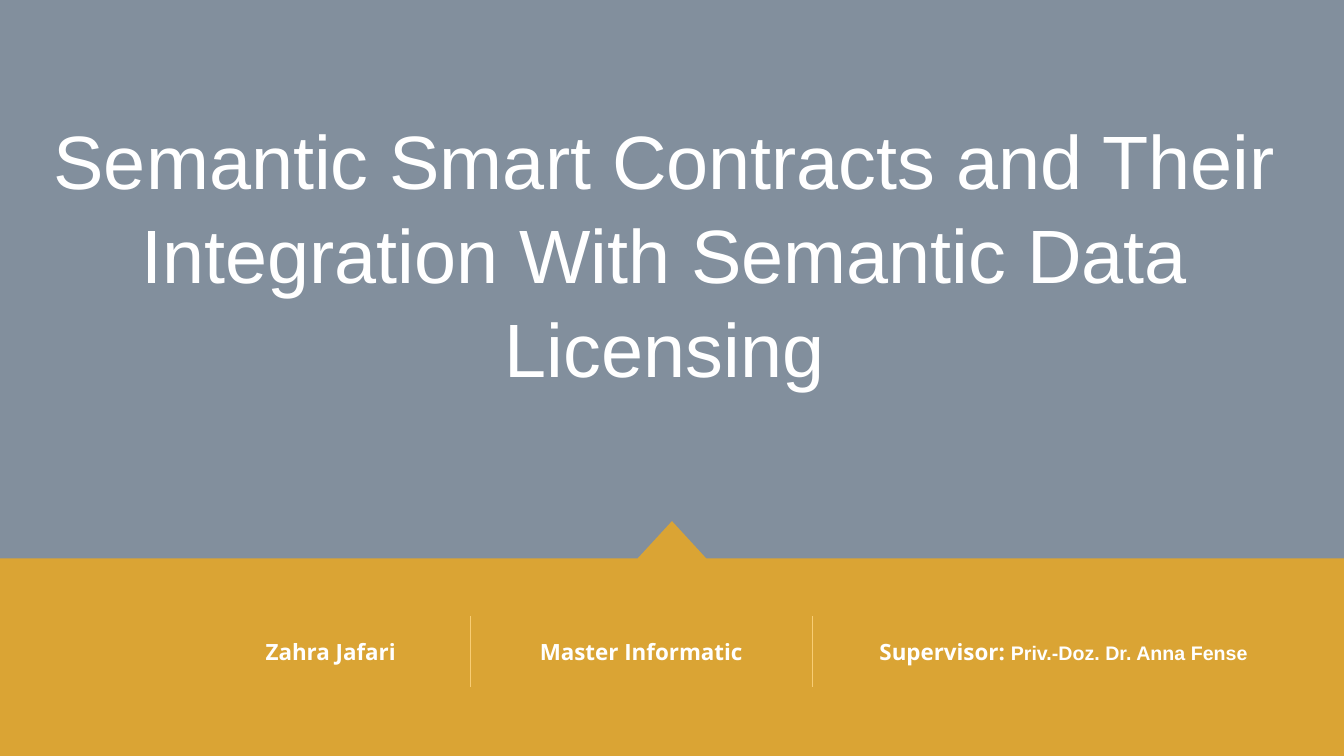
from lxml import etree
from pptx import Presentation
from pptx import util as u
from pptx.dml.color import RGBColor
from pptx.enum import shapes, text
from pptx.oxml.ns import qn

COLORS = {"slate": "57687B", "gold": "F4AB17", "divider": "F8CD74", "white": "FFFFFF"}
WIDTH, HEIGHT = u.Inches(13.33), u.Inches(7.5)
BAND_TOP = u.Inches(5.54)
ENTRY_HEIGHT = u.Inches(0.37)

# Left edge and width of each entry in inches, with its runs: wording, font, size
ENTRIES = [
    (2.2, 2.16, [("Zahra Jafari", "Open Sans", 16)]),
    (4.98, 2.76, [("Master Informatic", "Open Sans", 16)]),
    (8.37, 4.36, [("Supervisor: ", "Open Sans", 16),
                  ("Priv.-Doz. Dr. Anna Fense", "Arial", 14)]),
]


def rgb(name):
    return RGBColor.from_string(COLORS[name])


def paint(sp, color, opacity):
    """Fill a shape with a see-through colour, without line or shadow."""
    sp.shadow.inherit = False
    sp.line.fill.background()
    sp.fill.solid()
    sp.fill.fore_color.rgb = rgb(color)
    srgb = sp._element.spPr.find(".//" + qn("a:srgbClr"))
    etree.SubElement(srgb, qn("a:alpha")).set("val", str(opacity * 1000))


def format_run(r, font, size, bold=False):
    r.font.name = font
    r.font.size = u.Pt(size)
    r.font.bold = bold
    r.font.color.rgb = rgb("white")


def add_backdrop(s, width, height):
    panel = s.shapes.add_shape(shapes.MSO_SHAPE.RECTANGLE, 0, 0, width, height)
    paint(panel, "slate", 74)


def add_title(s, left, top, width, height):
    title = s.shapes.title
    title.left, title.top, title.width, title.height = left, top, width, height
    s.shapes._spTree.append(title._element)  # bring in front of the backdrop
    tf = title.text_frame
    tf.text = "Semantic Smart Contracts and Their\vIntegration With Semantic Data Licensing"
    tf.word_wrap = True
    tf.auto_size = text.MSO_AUTO_SIZE.NONE
    tf.vertical_anchor = text.MSO_ANCHOR.MIDDLE
    p = tf.paragraphs[0]
    p.alignment = text.PP_ALIGN.CENTER
    p.line_spacing = 1.04
    for r in p.runs:
        format_run(r, "Arial", 54)


def add_band(s, left, top, width, height):
    """Gold band with a pointer in the middle of its upper edge."""
    middle = left + width // 2
    half, rise = u.Inches(0.34), u.Inches(0.37)
    outline = s.shapes.build_freeform(middle, top - rise)
    outline.add_line_segments([
        (middle + half, top), (left + width, top), (left + width, top + height),
        (left, top + height), (left, top), (middle - half, top),
    ])
    paint(outline.convert_to_shape(), "gold", 78)


def add_entry(s, left, top, width, height, parts):
    tf = s.shapes.add_textbox(left, top, width, height).text_frame
    tf.word_wrap = True
    p = tf.paragraphs[0]
    p.alignment = text.PP_ALIGN.CENTER
    for wording, font, size in parts:
        r = p.add_run()
        r.text = wording
        format_run(r, font, size, bold=True)


def add_divider(s, x, middle):
    half = u.Inches(0.355)
    line = s.shapes.add_connector(shapes.MSO_CONNECTOR.STRAIGHT,
                                  x, middle - half, x, middle + half)
    line.line.color.rgb = rgb("divider")
    line.line.width = u.Pt(0.75)
    etree.SubElement(line._element.spPr, qn("a:effectLst"))


def add_footer(s, left, top, width, height):
    add_band(s, left, top, width, height)
    middle = top + u.Inches(0.925)
    for i, (x, entry_width, parts) in enumerate(ENTRIES):
        entry_left = left + u.Inches(x)
        if i:
            # A divider stands just before every entry but the first
            add_divider(s, entry_left - u.Inches(0.31), middle)
        add_entry(s, entry_left, middle - ENTRY_HEIGHT // 2,
                  u.Inches(entry_width), ENTRY_HEIGHT, parts)


def main():
    prs = Presentation()
    prs.slide_width, prs.slide_height = WIDTH, HEIGHT
    s = prs.slides.add_slide(prs.slide_layouts[5])
    add_backdrop(s, WIDTH, HEIGHT)
    add_footer(s, 0, BAND_TOP, WIDTH, HEIGHT - BAND_TOP)
    add_title(s, u.Inches(0.29), u.Inches(1.08), u.Inches(12.6), u.Inches(2.83))
    prs.save("out.pptx")


if __name__ == "__main__":
    main()
